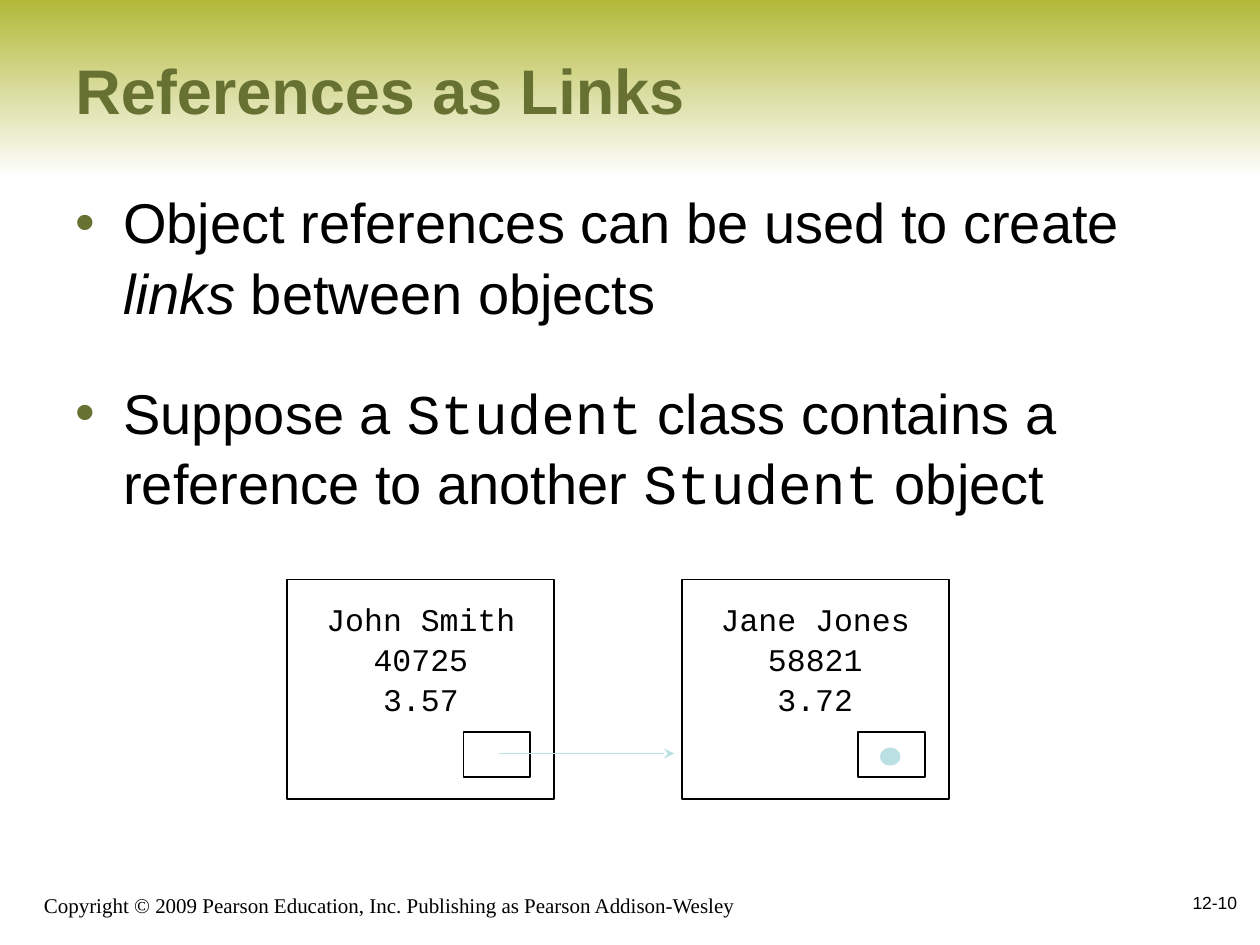
"""Build the slide "References as Links" with two linked Student cards."""
from lxml.etree import SubElement
from pptx import Presentation
from pptx.dml.color import RGBColor
from pptx.enum.shapes import MSO_CONNECTOR, MSO_SHAPE
from pptx.enum.text import MSO_ANCHOR, PP_ALIGN
from pptx.oxml.ns import qn
from pptx.util import Inches, Pt

OLIVE = RGBColor(0x67, 0x71, 0x32)
LIME = RGBColor(0xB2, 0xB9, 0x38)
WHITE = RGBColor(0xFF, 0xFF, 0xFF)
BLACK = RGBColor(0x00, 0x00, 0x00)
PALE_BLUE = RGBColor(0xBB, 0xE0, 0xE3)
SANS, MONO, SERIF = "Arial", "Courier New", "Times New Roman"
WIDTH, HEIGHT = Inches(10), Inches(7.5)
COLUMNS, ROWS = 120, 90
CARD_LEFT, CARD_TOP, CARD_STEP = 27.36, 55.2, 37.56
LINE_SPACING = 1.05

BULLETS = [
    [("Object references can be used to create ", SANS, False),
     ("links", SANS, True),
     (" between objects", SANS, False)],
    [("Suppose a ", SANS, False),
     ("Student", MONO, False),
     (" class contains a reference to another ", SANS, False),
     ("Student", MONO, False),
     (" object", SANS, False)],
]
STUDENTS = [("John Smith", "40725", "3.57"), ("Jane Jones", "58821", "3.72")]


def across(columns):
    """Turn grid columns into a length."""
    return round(WIDTH * columns / COLUMNS)


def down(rows):
    """Turn grid rows into a length."""
    return round(HEIGHT * rows / ROWS)


def place(left, top, width, height):
    """Turn a grid area into lengths."""
    return across(left), down(top), across(width), down(height)


def add_run(paragraph, text, font, size, color=BLACK, bold=False, italic=False):
    """Append one formatted run."""
    run = paragraph.add_run()
    run.text = text
    run.font.name = font
    run.font.size = Pt(size)
    run.font.bold = bold
    run.font.italic = italic
    run.font.color.rgb = color


def add_frame(slide, area, anchor):
    """Add a wrapping text box and return its frame."""
    frame = slide.shapes.add_textbox(*place(*area)).text_frame
    frame.word_wrap = True
    frame.vertical_anchor = anchor
    return frame


def add_label(slide, area, text, font, size, color=BLACK, bold=False,
              anchor=MSO_ANCHOR.MIDDLE, align=PP_ALIGN.LEFT):
    """Add a single line of text."""
    label = add_frame(slide, area, anchor).paragraphs[0]
    label.alignment = align
    add_run(label, text, font, size, color, bold)


def add_figure(slide, kind, area, line=None, fill=None):
    """Add a flat preset shape."""
    figure = slide.shapes.add_shape(kind, *place(*area))
    figure.shadow.inherit = False
    if fill is None:
        figure.fill.background()
    else:
        figure.fill.solid()
        figure.fill.fore_color.rgb = fill
    if line is None:
        figure.line.fill.background()
    else:
        figure.line.color.rgb = line
        figure.line.width = Pt(1)
    return figure


def add_header_band(slide):
    """Add the band that fades from lime to white."""
    band = add_figure(slide, MSO_SHAPE.RECTANGLE, (0, 0, COLUMNS, 17))
    band.fill.gradient()
    band.fill.gradient_angle = 270
    for stop, color, position in zip(band.fill.gradient_stops, (LIME, WHITE), (0, 1)):
        stop.color.rgb = color
        stop.position = position


def add_bullets(slide):
    """Add the bulleted statements."""
    frame = add_frame(slide, (6, 17, 109, 54), MSO_ANCHOR.TOP)
    for index, statement in enumerate(BULLETS):
        paragraph = frame.add_paragraph() if index else frame.paragraphs[0]
        paragraph.line_spacing = LINE_SPACING
        if index:
            paragraph.space_before = Pt(28)
        properties = paragraph._p.get_or_add_pPr()
        properties.set("marL", str(Inches(0.38)))
        properties.set("indent", str(-Inches(0.38)))
        bullet_color = SubElement(properties, qn("a:buClr"))
        SubElement(bullet_color, qn("a:srgbClr"), val=str(OLIVE))
        SubElement(properties, qn("a:buFont"), typeface=SANS)
        SubElement(properties, qn("a:buChar"), char="•")
        for text, font, italic in statement:
            add_run(paragraph, text, font, 32, italic=italic)


def add_student(slide, left, details):
    """Add a student card with its reference cell."""
    card = add_figure(slide, MSO_SHAPE.RECTANGLE,
                      (left, CARD_TOP, 25.44, 20.88), BLACK)
    frame = card.text_frame
    frame.word_wrap = False
    frame.vertical_anchor = MSO_ANCHOR.TOP
    frame.margin_top = Inches(0.15)
    for index, detail in enumerate(details):
        paragraph = frame.add_paragraph() if index else frame.paragraphs[0]
        paragraph.alignment = PP_ALIGN.CENTER
        paragraph.line_spacing = LINE_SPACING
        add_run(paragraph, detail, MONO, 18)
    add_figure(slide, MSO_SHAPE.RECTANGLE,
               (left + 16.8, CARD_TOP + 14.52, 6.36, 4.32), BLACK)


def add_link(slide, start, end, row):
    """Add the arrow from a reference cell to the next card."""
    link = slide.shapes.add_connector(
        MSO_CONNECTOR.STRAIGHT, across(start), down(row), across(end), down(row))
    link.line.color.rgb = PALE_BLUE
    link.line.width = Pt(1)
    SubElement(link.line._get_or_add_ln(), qn("a:tailEnd"), type="stealth")
    SubElement(link._element.spPr, qn("a:effectLst"))


def main():
    """Build and save the slide."""
    presentation = Presentation()
    presentation.slide_width, presentation.slide_height = WIDTH, HEIGHT
    slide = presentation.slides.add_slide(presentation.slide_layouts[6])
    add_header_band(slide)
    add_label(slide, (3, 83, 73, 5),
              "Copyright © 2009 Pearson Education, Inc. Publishing as Pearson Addison-Wesley",
              SERIF, 12, anchor=MSO_ANCHOR.BOTTOM)
    add_label(slide, (94, 83, 25, 6), "12-10", SANS, 10, align=PP_ALIGN.RIGHT)
    add_label(slide, (6, 1, 109, 15), "References as Links", SANS, 36, OLIVE, True)
    add_bullets(slide)
    for index, details in enumerate(STUDENTS):
        add_student(slide, CARD_LEFT + index * CARD_STEP, details)
    add_link(slide, 47.52, 64.2, 71.76)
    add_figure(slide, MSO_SHAPE.OVAL, (83.88, 71.28, 1.8, 1.56), PALE_BLUE, PALE_BLUE)
    presentation.save("out.pptx")


if __name__ == "__main__":
    main()
